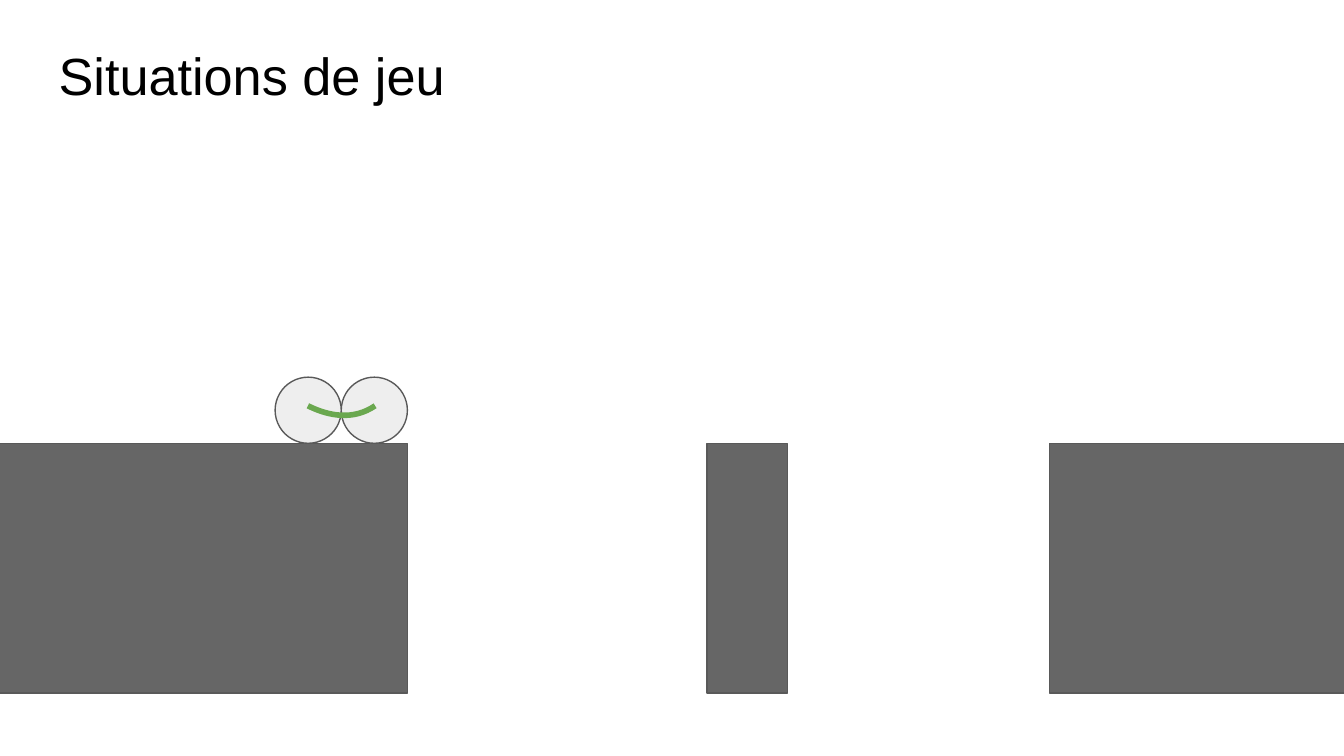
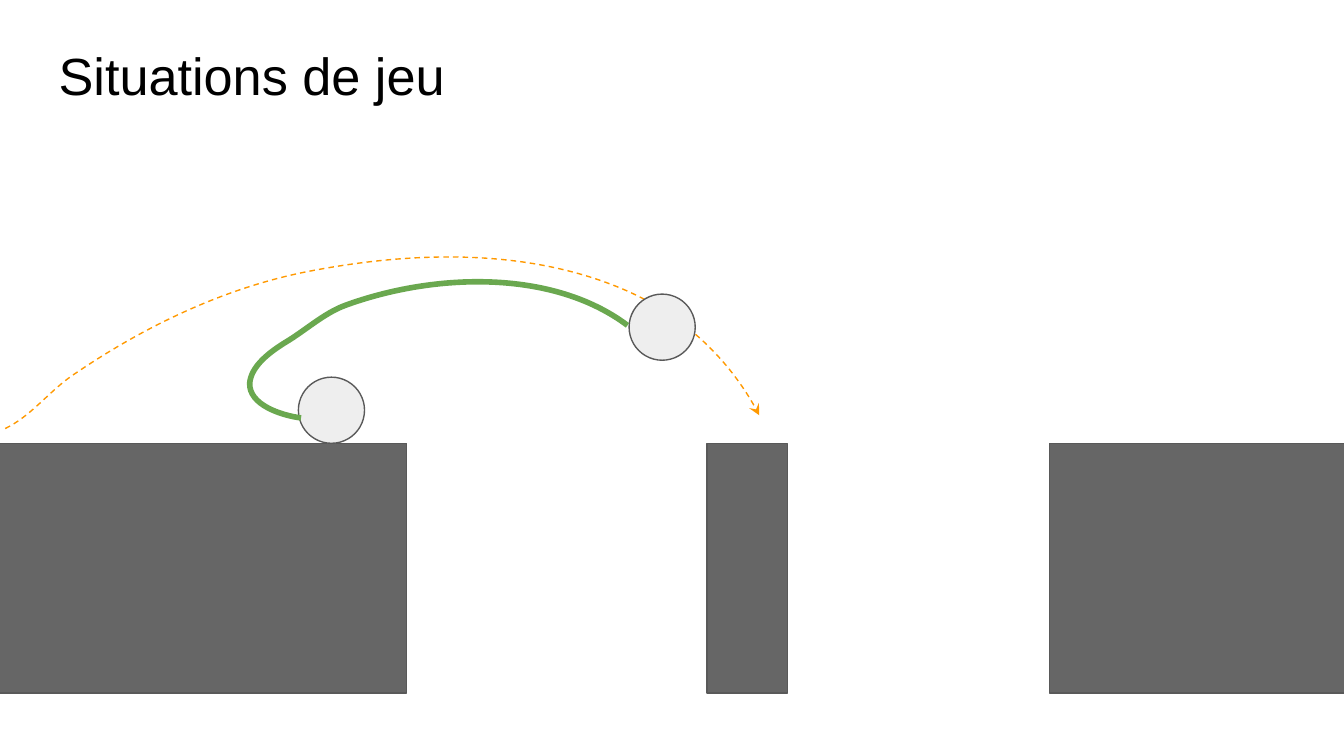
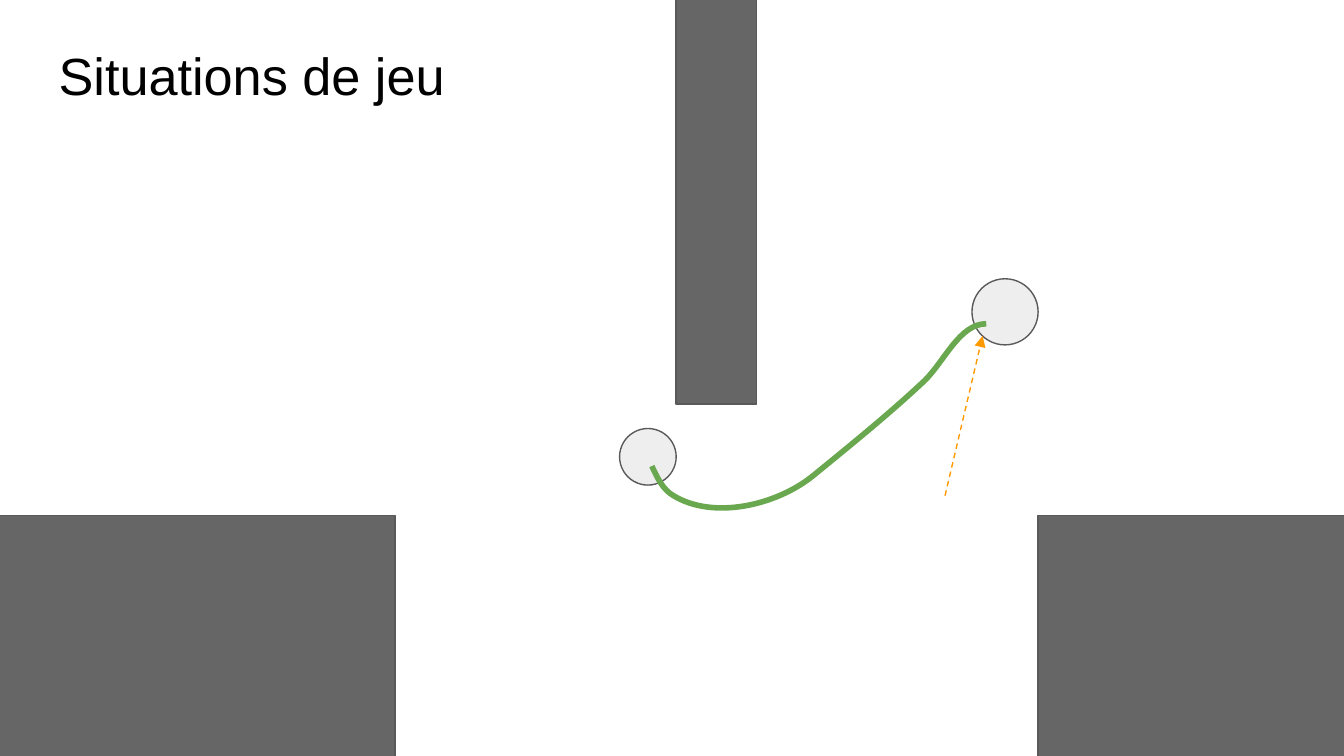
import dataclasses
import typing

import lxml.etree
import pptx
import pptx.dml.color
import pptx.enum.dml
import pptx.enum.shapes
import pptx.enum.text
import pptx.oxml.ns
import pptx.util

Cm = pptx.util.Cm
Pt = pptx.util.Pt
qn = pptx.oxml.ns.qn
Form = pptx.enum.shapes.MSO_SHAPE
Point = tuple[float, float]

COLORS = {
    "text": "000000",
    "block": "666666",
    "ball": "EEEEEE",
    "edge": "595959",
    "rope": "6AA84F",
    "path": "FF9900",
}
TITLE = "Situations de jeu"
FRAME = {
    "word_wrap": True,
    "vertical_anchor": pptx.enum.text.MSO_ANCHOR.TOP,
    "margin_left": Cm(0.25),
    "margin_right": Cm(0.25),
    "margin_top": Cm(0.38),
    "margin_bottom": Cm(0.25),
}
FONT = {"name": "Arial", "size": Pt(28), "bold": False}
THIN, THICK = 0.75, 3
DEPTH = 4.72  # height of the ground blocks
PILLAR = 1.52  # width of a pillar
STEPS = 40  # samples per curve used to find its extent


@dataclasses.dataclass
class Block:
    x: float
    y: float
    w: float
    h: float = DEPTH


@dataclasses.dataclass
class Ball:
    x: float
    y: float
    d: float = 1.25


@dataclasses.dataclass
class Stroke:
    color: str
    width: float
    dash: bool = False
    head: str = ""


ROPE = Stroke("rope", THICK)


@dataclasses.dataclass
class Curve:
    """A start point followed by three points for each cubic segment."""
    points: list[Point]
    stroke: Stroke = dataclasses.field(default_factory=lambda: ROPE)


@dataclasses.dataclass
class Arrow:
    start: Point
    end: Point
    stroke: Stroke


Part = typing.Union[Block, Ball, Curve, Arrow]


def rgb(name: str) -> pptx.dml.color.RGBColor:
    return pptx.dml.color.RGBColor.from_string(COLORS[name])


def apply(target: typing.Any, values: dict[str, typing.Any]) -> None:
    for key, value in values.items():
        setattr(target, key, value)


def ink(line: typing.Any, stroke: Stroke) -> None:
    """Give a line its colour, width, dash and arrowhead."""
    line.color.rgb = rgb(stroke.color)
    line.width = Pt(stroke.width)
    if stroke.dash:
        line.dash_style = pptx.enum.dml.MSO_LINE.DASH
    if stroke.head:
        ln = line.color._xFill.getparent()
        lxml.etree.SubElement(ln, qn("a:tailEnd"), type=stroke.head)


def solid(slide: typing.Any, form: Form, box: tuple, color: str) -> None:
    shape = slide.shapes.add_shape(form, *map(Cm, box))
    shape.shadow.inherit = False
    shape.fill.solid()
    shape.fill.fore_color.rgb = rgb(color)
    ink(shape.line, Stroke("edge", THIN))


def cubic(points: list[Point], t: float) -> Point:
    """Return the point at t on one cubic segment."""
    u = 1 - t
    rates = (u**3, 3 * u * u * t, 3 * u * t * t, t**3)
    x, y = (sum(r * p[i] for r, p in zip(rates, points)) for i in (0, 1))
    return x, y


def bend(slide: typing.Any, curve: Curve) -> None:
    """Size a freeform by sampling, then give it exact cubic segments."""
    spots = [
        cubic(curve.points[i:i + 4], n / STEPS)
        for i in range(0, len(curve.points) - 1, 3)
        for n in range(1, STEPS + 1)
    ]
    first = curve.points[0]
    pen = slide.shapes.build_freeform(Cm(first[0]), Cm(first[1]))
    pen.add_line_segments([(Cm(x), Cm(y)) for x, y in spots], close=False)
    shape = pen.convert_to_shape()
    shape.shadow.inherit = False
    shape.fill.background()
    ink(shape.line, curve.stroke)

    track = next(shape._element.iter(qn("a:path")))
    for step in list(track):
        track.remove(step)
    for i, (x, y) in enumerate(curve.points):
        if i == 0:
            step = lxml.etree.SubElement(track, qn("a:moveTo"))
        elif i % 3 == 1:
            step = lxml.etree.SubElement(track, qn("a:cubicBezTo"))
        lxml.etree.SubElement(
            step, qn("a:pt"),
            x=str(Cm(x) - shape.left), y=str(Cm(y) - shape.top))


def link(slide: typing.Any, arrow: Arrow) -> None:
    line = slide.shapes.add_connector(
        pptx.enum.shapes.MSO_CONNECTOR.STRAIGHT,
        *map(Cm, arrow.start + arrow.end))
    ink(line.line, arrow.stroke)
    lxml.etree.SubElement(line._element.spPr, qn("a:effectLst"))


def head(slide: typing.Any) -> None:
    """Write the slide title."""
    box = slide.shapes.add_textbox(*map(Cm, (0.86, 0.43, 23.67, 1.6)))
    apply(box.text_frame, FRAME)
    run = box.text_frame.paragraphs[0].add_run()
    run.text = TITLE
    apply(run.font, FONT)
    run.font.color.rgb = rgb("text")


def draw(slide: typing.Any, part: Part) -> None:
    if isinstance(part, Block):
        box = (part.x, part.y, part.w, part.h)
        solid(slide, Form.RECTANGLE, box, "block")
    elif isinstance(part, Ball):
        box = (part.x, part.y, part.d, part.d)
        solid(slide, Form.OVAL, box, "ball")
    elif isinstance(part, Curve):
        bend(slide, part)
    else:
        link(slide, part)


START = [
    Block(-0.81, 8.38, 8.51),
    Block(19.84, 8.38, 6.05),
    Ball(6.45, 7.13),
    Ball(5.2, 7.13),
    Curve([(5.82, 7.67), (6.22, 7.87), (6.68, 7.95), (7.09, 7.67)]),
    Block(13.36, 8.38, PILLAR),
]
JUMP = [
    Curve([
        (0.1, 8.1),
        (0.58, 7.87), (0.91, 7.42), (1.35, 7.11),
        (2.72, 6.17), (4.29, 5.41), (5.94, 5.11),
        (7.85, 4.75), (9.96, 4.7), (11.76, 5.46),
        (12.85, 5.92), (13.82, 6.81), (14.35, 7.85),
    ], Stroke("path", THIN, True, "stealth")),
    Block(-1.68, 8.38, 9.37),
    Block(13.36, 8.38, PILLAR),
    Block(19.84, 8.38, 6.3),
    Ball(5.64, 7.13),
    Ball(11.89, 5.56),
    Curve([
        (5.69, 7.9),
        (5.31, 7.85), (4.7, 7.65), (4.72, 7.24),
        (4.75, 6.91), (5.11, 6.65), (5.38, 6.48),
        (5.77, 6.25), (6.12, 5.92), (6.53, 5.77),
        (8.2, 5.16), (10.44, 5.08), (11.86, 6.15),
    ]),
]
SWING = [
    Ball(11.71, 8.1, 1.07),
    Block(-1.9, 9.75, 9.37),
    Block(12.78, -0.74, PILLAR, 8.38),
    Block(19.62, 9.75, 6.3),
    Ball(18.37, 5.27),
    Arrow((17.86, 9.37), (18.57, 6.35),
          Stroke("path", THIN, True, "triangle")),
    Curve([
        (12.32, 8.81),
        (12.42, 9.02), (12.52, 9.25), (12.73, 9.37),
        (13.49, 9.83), (14.68, 9.55), (15.37, 8.99),
        (16.08, 8.41), (16.81, 7.82), (17.48, 7.19),
        (17.86, 6.81), (18.14, 6.12), (18.64, 6.12),
    ]),
]


def main() -> None:
    deck = pptx.Presentation()
    apply(deck, {"slide_width": Cm(25.4), "slide_height": Cm(14.29)})
    for scene in (START, JUMP, SWING):
        slide = deck.slides.add_slide(deck.slide_layouts[6])
        head(slide)
        for part in scene:
            draw(slide, part)
    deck.save("out.pptx")


if __name__ == "__main__":
    main()
